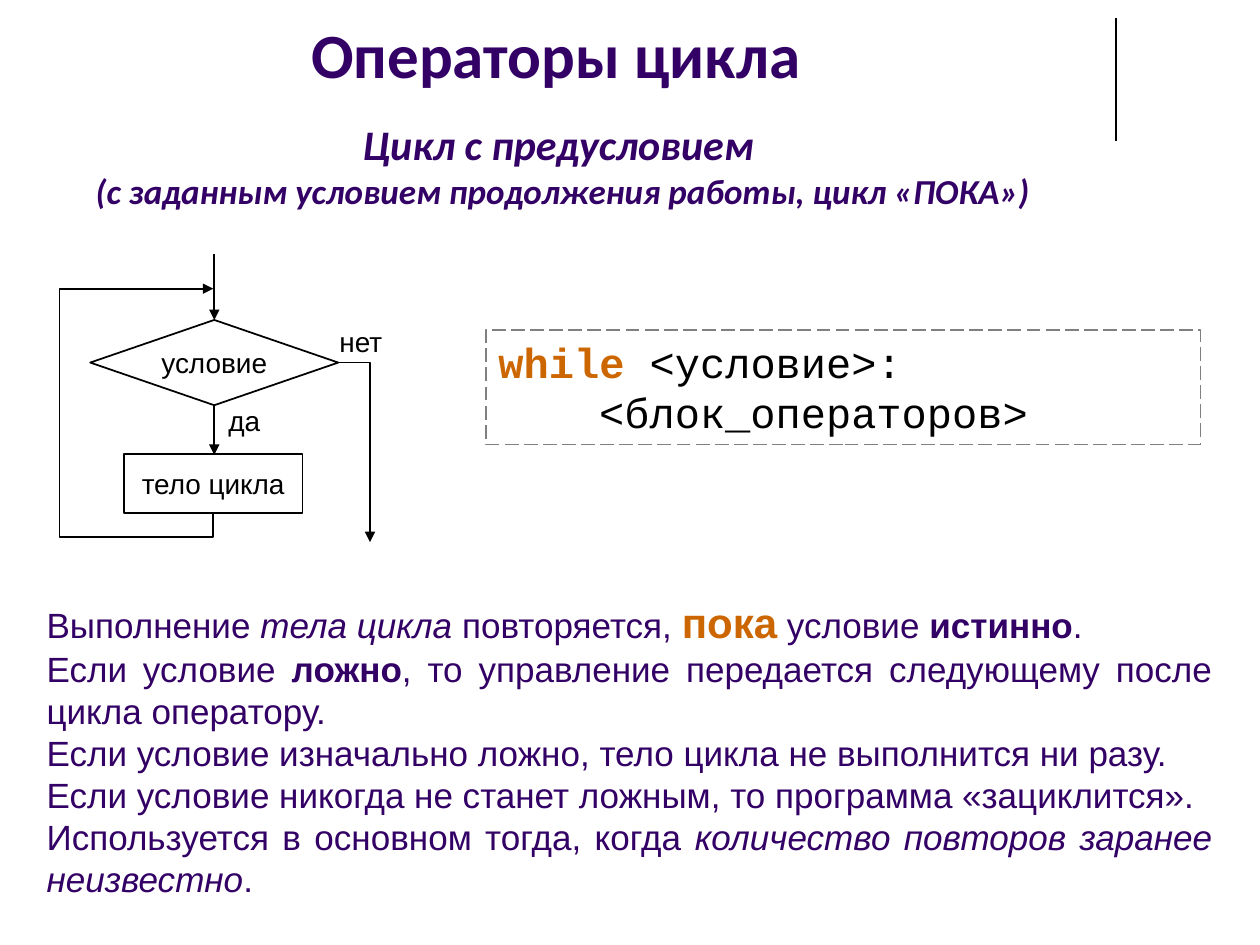
from pptx import Presentation
from pptx.dml.color import RGBColor as Rgb
from pptx.enum.dml import MSO_LINE as Dash
from pptx.enum.shapes import MSO_CONNECTOR as Conn, MSO_SHAPE as Kind
from pptx.enum.text import MSO_ANCHOR as Anchor, PP_ALIGN as Align
from pptx.oxml.ns import qn
from pptx.util import Cm, Pt
from lxml.etree import SubElement as Sub

HUES = {"ink": "330066", "key": "CC6600", "black": "000000",
        "white": "FFFFFF", "gray": "808080"}

BOLD = {"bold": True}
SLANT = {"italic": True}
KEY = {"bold": True, "hue": "key"}

HEAD = [
    ("Операторы цикла ", 36, False, 0),
    ("Цикл с предусловием ", 24, True, 16),
    ("(с заданным условием продолжения работы, цикл «ПОКА»)", 20, True, 0),
]
CODE = [
    ([("while ", KEY), ("<условие>:", {})], 0),
    ([("<блок_операторов>", {})], 2.03),
]
NOTES = [
    [("Выполнение ", {}), ("тела цикла", SLANT), (" повторяется, ", {}),
     ("пока", {**KEY, "size": 24}), (" условие ", {}),
     ("истинно", BOLD), (".", {})],
    [("Если условие ", {}), ("ложно", BOLD),
     (", то управление передается следующему после цикла оператору.", {})],
    [("Если условие изначально ложно, тело цикла не выполнится ни разу.", {})],
    [("Если условие никогда не станет ложным, то программа «зациклится».", {})],
    [("Используется в основном тогда, когда ", {}),
     ("количество повторов заранее неизвестно", SLANT), (".", {})],
]
NODES = [
    ("условие", Kind.FLOWCHART_DECISION, (1.82, 6.45, 5, 1.72)),
    ("тело цикла", Kind.RECTANGLE, (2.5, 9.15, 3.6, 1.19)),
]
TAGS = [
    ("да", (4.2, 8.13, 1.45, 0.84)),
    ("нет", (6.55, 6.55, 1.45, 0.84)),
]
PATHS = [
    [(4.32, 5.13), (4.32, 6.45)],
    [(4.32, 8.16), (4.32, 9.17)],
    [(6.82, 7.31), (7.46, 7.31), (7.46, 10.93)],
    [(4.3, 10.32), (4.3, 10.83), (1.2, 10.83), (1.2, 5.82), (4.3, 5.82)],
]


def tint(hue):
    return Rgb.from_string(HUES[hue])


def edge(line, hue="black", width=1):
    line.color.rgb = tint(hue)
    line.width = Pt(width)


def setup(frame, inset=None, anchor=Anchor.TOP):
    frame.word_wrap = True
    frame.vertical_anchor = anchor
    if inset is not None:
        frame.margin_left = frame.margin_right = Cm(inset)
        frame.margin_top = frame.margin_bottom = Cm(inset)
    return frame


def write(frame, first, runs, face, size, hue, align):
    para = frame.paragraphs[0] if first else frame.add_paragraph()
    para.alignment = align
    para.font.name = face
    para.font.size = Pt(size)
    para.font.color.rgb = tint(hue)
    for text, look in runs:
        run = para.add_run()
        run.text = text
        if "bold" in look:
            run.font.bold = True
        if "italic" in look:
            run.font.italic = True
        if "size" in look:
            run.font.size = Pt(look["size"])
        if "hue" in look:
            run.font.color.rgb = tint(look["hue"])
    return para


def box(shapes, place):
    return shapes.add_textbox(*map(Cm, place))


def label(shape, text, anchor):
    frame = setup(shape.text_frame, 0, anchor)
    write(frame, True, [(text, {})], "Arial", 16, "black", Align.CENTER)


def straight(shapes, start, end, width=1):
    line = shapes.add_connector(Conn.STRAIGHT, *map(Cm, start + end))
    edge(line.line, width=width)
    Sub(line._element.spPr, qn("a:effectLst"))
    return line


def bent(shapes, points):
    spots = [(Cm(x), Cm(y)) for x, y in points]
    pen = shapes.build_freeform(*spots[0])
    pen.add_line_segments(spots[1:], close=False)
    line = pen.convert_to_shape()
    line.fill.background()
    line.shadow.inherit = False
    edge(line.line)
    return line


def arrow(shapes, points):
    if len(points) == 2:
        line = straight(shapes, *points)
    else:
        line = bent(shapes, points)
    Sub(line.line._get_or_add_ln(), qn("a:tailEnd"), type="triangle")


def main():
    deck = Presentation()
    deck.slide_width, deck.slide_height = Cm(25.4), Cm(19.05)
    shapes = deck.slides.add_slide(deck.slide_layouts[6]).shapes

    straight(shapes, (22.5, 0.36), (22.5, 2.84), 0.75)

    frame = setup(box(shapes, (0.3, 0.18, 22.1, 4.65)).text_frame)
    for i, (text, size, slant, gap) in enumerate(HEAD):
        para = write(frame, i == 0, [(text, {})], "Calibri", size, "ink",
                     Align.CENTER)
        para.font.bold = True
        para.font.italic = slant
        para.space_before = Pt(gap)

    frame = setup(box(shapes, (0.69, 11.91, 24, 6.4)).text_frame)
    for i, runs in enumerate(NOTES):
        write(frame, i == 0, runs, "Arial", 20, "ink", Align.JUSTIFY)

    panel = box(shapes, (9.8, 6.65, 14.4, 2.31))
    edge(panel.line, "gray")
    panel.line.dash_style = Dash.LONG_DASH
    frame = setup(panel.text_frame)
    for i, (runs, indent) in enumerate(CODE):
        para = write(frame, i == 0, runs, "Courier New", 24, "black",
                     Align.LEFT)
        para._p.get_or_add_pPr().set("marL", str(Cm(indent)))

    for text, kind, place in NODES:
        node = shapes.add_shape(kind, *map(Cm, place))
        node.shadow.inherit = False
        node.fill.solid()
        node.fill.fore_color.rgb = tint("white")
        edge(node.line)
        label(node, text, Anchor.MIDDLE)
    for text, place in TAGS:
        label(box(shapes, place), text, Anchor.TOP)
    for points in PATHS:
        arrow(shapes, points)

    deck.save("out.pptx")


if __name__ == "__main__":
    main()
